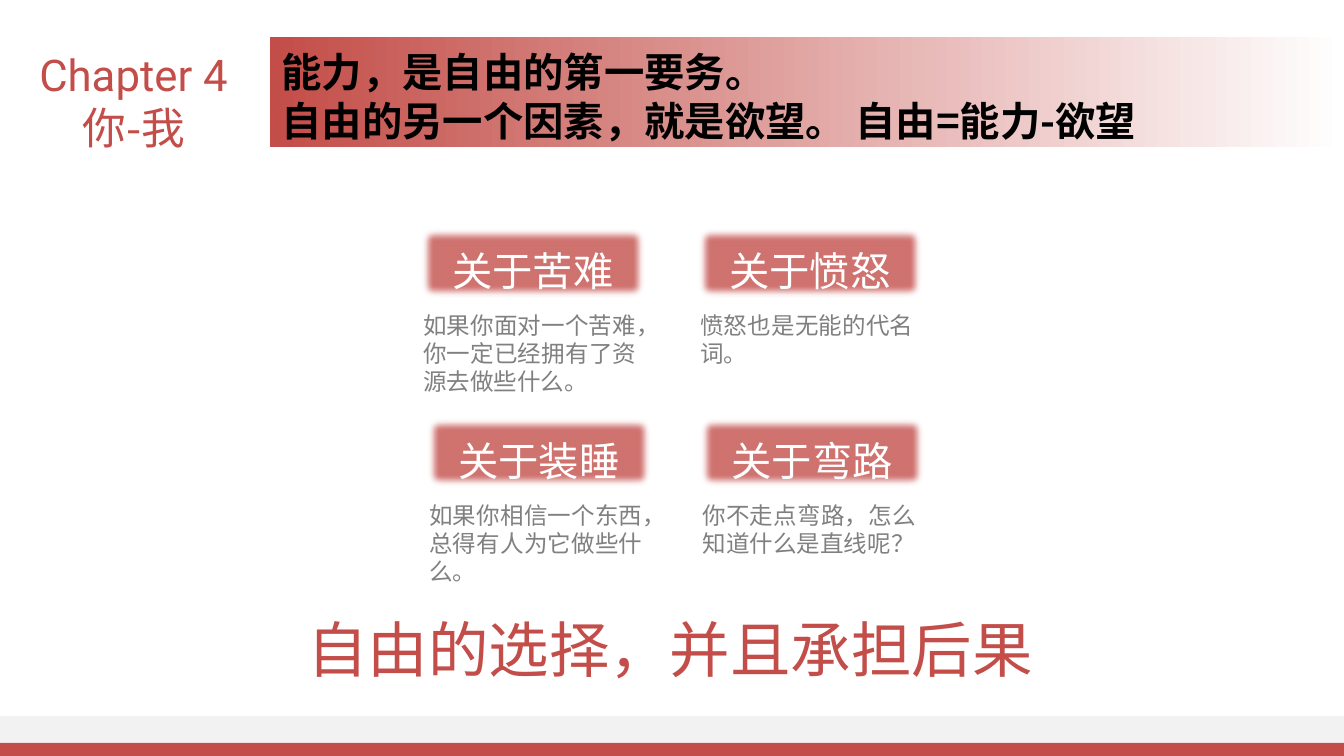
from pptx import Presentation
from pptx.dml.color import RGBColor
from pptx.enum.shapes import MSO_SHAPE
from pptx.enum.text import MSO_ANCHOR, MSO_AUTO_SIZE, PP_ALIGN
from pptx.oxml.ns import qn
from pptx.util import Inches, Pt
from lxml.etree import SubElement

RED = RGBColor(0xC3, 0x4D, 0x48)
TAG = RGBColor(0xC4, 0x50, 0x4C)
PALE = RGBColor(0xF2, 0xF2, 0xF2)
GRAY = RGBColor(0x80, 0x80, 0x80)
BLACK = RGBColor(0, 0, 0)
WHITE = RGBColor(0xFF, 0xFF, 0xFF)
SANS, LATIN = "Noto Sans CJK SC", "Roboto"


class Deck:
    def __init__(self, wide, high):
        self.file = Presentation()
        self.file.slide_width = Inches(wide)
        self.file.slide_height = Inches(high)
        self.slide = self.file.slides.add_slide(self.file.slide_layouts[5])

    def label(self, shape, lines, size, color, align=PP_ALIGN.LEFT,
              bold=False, fonts=(SANS, SANS)):
        frame = shape.text_frame
        frame.text = "\n".join(lines)
        # The top inset grows with the type to seat tight lines
        form = {"word_wrap": True, "auto_size": MSO_AUTO_SIZE.NONE,
                "vertical_anchor": MSO_ANCHOR.TOP,
                "margin_top": Inches(0.05 + 0.1 * size / 72)}
        for key, value in form.items():
            setattr(frame, key, value)
        for para, name in zip(frame.paragraphs, fonts):
            para.alignment = align
            para.line_spacing = Pt(round(size * 1.2, 1))
            for run in para.runs:
                style = {"size": Pt(size), "bold": bold, "name": name}
                for key, value in style.items():
                    setattr(run.font, key, value)
                run.font.color.rgb = color
                east = SubElement(run.font._element, qn("a:ea"))
                east.set("typeface", SANS)

    def title(self, box, lines, size, color, **style):
        shape = self.slide.shapes.title
        sides = ("left", "top", "width", "height")
        for side, value in zip(sides, box):
            setattr(shape, side, Inches(value))
        self.label(shape, lines, size, color, **style)

    def text(self, box, lines, size, color, **style):
        shape = self.slide.shapes.add_textbox(*map(Inches, box))
        self.label(shape, lines, size, color, **style)

    def block(self, box, color):
        shape = self.slide.shapes.add_shape(
            MSO_SHAPE.RECTANGLE, *map(Inches, box))
        shape.shadow.inherit = False
        shape.line.fill.background()
        shape.fill.solid()
        shape.fill.fore_color.rgb = color
        return shape

    def fade(self, box, start, end):
        shape = self.block(box, start)
        shape.fill.gradient()
        shape.fill.gradient_angle = 0
        for stop, color in zip(shape.fill.gradient_stops, (start, end)):
            stop.color.rgb = color
        return shape

    def soft(self, box, color, alpha, blur):
        props = self.block(box, color)._element.spPr
        tint = props.find(qn("a:solidFill")).find(qn("a:srgbClr"))
        SubElement(tint, qn("a:alpha")).set("val", str(alpha * 1000))
        edge = SubElement(props.find(qn("a:effectLst")), qn("a:softEdge"))
        edge.set("rad", str(int(Pt(blur))))

    def card(self, left, top, head, body):
        self.soft((left, top, 1.91, 0.63), TAG, 80, 5)
        self.text((left - 0.05, top + 0.64, 1.96, 0.81), [body], 14, GRAY,
                  align=PP_ALIGN.JUSTIFY)
        self.text((left + 0.19, top + 0.09, 1.57, 0.5), [head], 24, WHITE)


def main():
    deck = Deck(11.11, 6.25)

    # Footer strips
    deck.block((0, 6.14, 11.11, 0.11), RED)
    deck.block((0, 5.92, 11.11, 0.22), PALE)

    # Chapter title and key message
    deck.title((0.01, 0.31, 2.19, 0.98), ["Chapter 4", "你-我"], 26, RED,
               align=PP_ALIGN.CENTER, fonts=(LATIN, SANS))
    band = deck.fade((2.23, 0.31, 8.88, 0.91), RED, WHITE)
    deck.label(band, ["能力，是自由的第一要务。",
                      "自由的另一个因素，就是欲望。 自由=能力-欲望"],
               24, BLACK, bold=True)

    # Four topic cards
    cards = [
        (3.45, 1.86, "关于苦难",
         "如果你面对一个苦难，你一定已经拥有了资源去做些什么。"),
        (5.74, 1.86, "关于愤怒", "愤怒也是无能的代名词。"),
        (3.5, 3.43, "关于装睡",
         "如果你相信一个东西，总得有人为它做些什么。"),
        (5.76, 3.43, "关于弯路", "你不走点弯路，怎么知道什么是直线呢？"),
    ]
    for card in cards:
        deck.card(*card)

    # Closing line
    deck.text((2.44, 4.96, 6.23, 0.71), ["自由的选择，并且承担后果"], 36, RED)

    deck.file.save("out.pptx")


if __name__ == "__main__":
    main()
